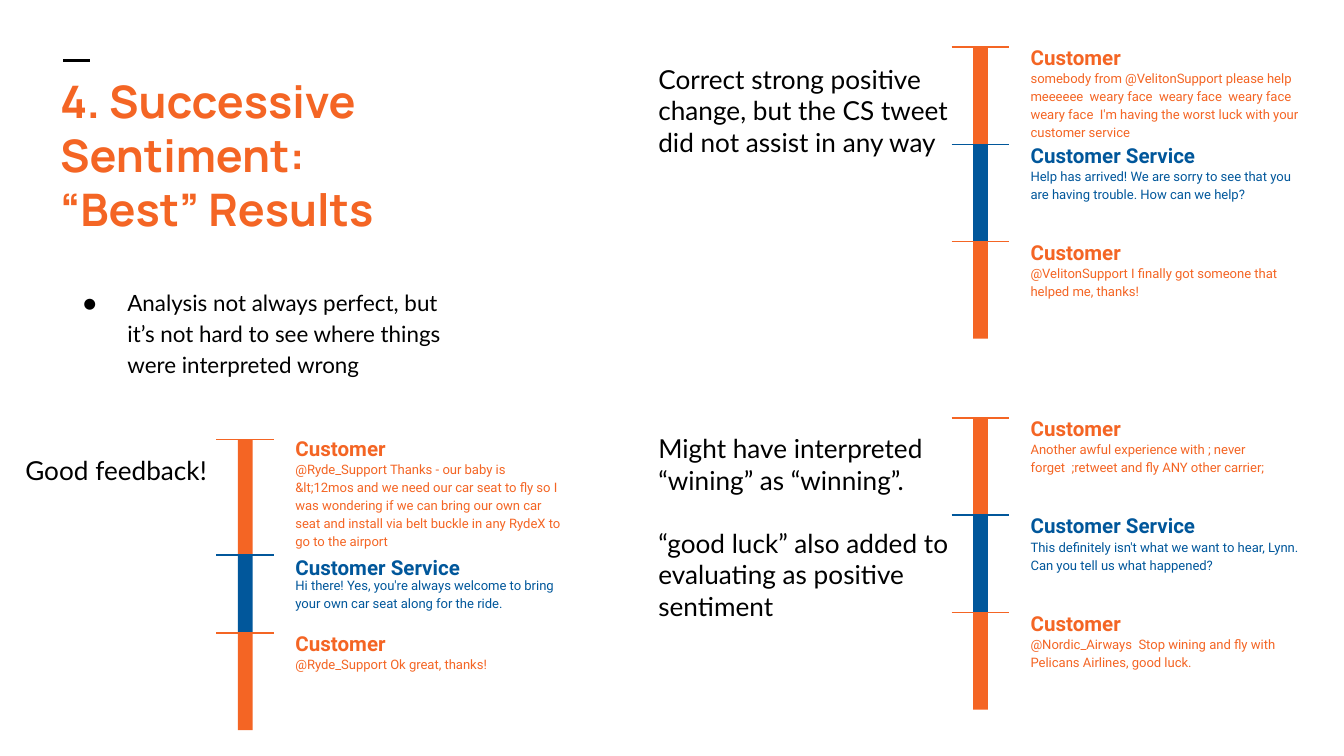
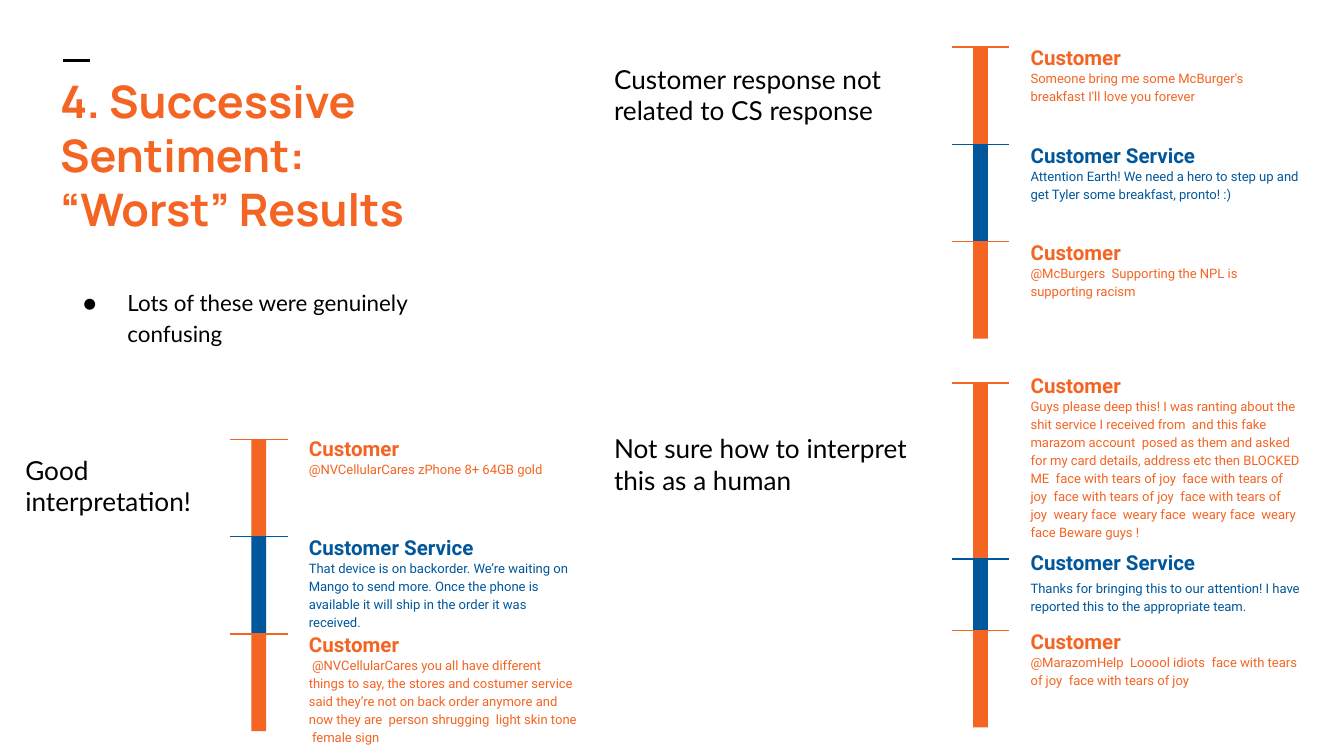
from dataclasses import dataclass

from lxml import etree
from pptx import Presentation
from pptx.dml.color import RGBColor
from pptx.enum.shapes import MSO_CONNECTOR as CONNECTOR, MSO_SHAPE as SHAPE
from pptx.enum.text import MSO_ANCHOR as ANCHOR, MSO_AUTO_SIZE as AUTO_SIZE
from pptx.oxml.ns import qn
from pptx.util import Inches, Pt

ORANGE = RGBColor(0xF4, 0x65, 0x24)
BLUE = RGBColor(0x01, 0x57, 0x9B)
BLACK = RGBColor(0, 0, 0)
TITLE_FONT, BODY_FONT, TWEET_FONT = "Manrope", "Lato", "Roboto"

SPEAKERS = [("Customer", ORANGE), ("Customer Service", BLUE), ("Customer", ORANGE)]
UPPER_TOP, LOWER_TOP, LEFT_TOP = 0.35, 3.11, 3.27
RIGHT_X = 7.08
TIMELINE_HEIGHT = 2.17


@dataclass
class Tweet:
    """Offsets are measured from the line that opens the tweet."""
    text: str
    height: float = TIMELINE_HEIGHT / 3
    name_offset: float = -0.14
    name_height: float = 0.2
    text_offset: float = 0.06
    text_height: float = 0.3


def add_text(shapes, text, left, top, width, height, *, size, font=BODY_FONT,
             color=BLACK, bold=False, anchor=ANCHOR.TOP, line_spacing=None,
             space_after=0, paragraph_gap=0):
    """Add a text box; each line of the text is one paragraph."""
    box = shapes.add_textbox(Inches(left), Inches(top), Inches(width), Inches(height))
    frame = box.text_frame
    frame.word_wrap = True
    frame.auto_size = AUTO_SIZE.NONE
    frame.vertical_anchor = anchor
    frame.margin_left = frame.margin_right = Inches(0.1)
    frame.margin_top = frame.margin_bottom = Inches(0.1)
    frame.text = text
    for index, paragraph in enumerate(frame.paragraphs):
        paragraph.line_spacing = line_spacing
        paragraph.space_before = Pt(paragraph_gap if index else 0)
        paragraph.space_after = Pt(space_after)
        for run in paragraph.runs:
            run.font.name = font
            run.font.size = Pt(size)
            run.font.bold = bold
            run.font.color.rgb = color
    return box


def add_line(shapes, left, top, width, color, weight):
    line = shapes.add_connector(CONNECTOR.STRAIGHT, Inches(left), Inches(top),
                                Inches(left + width), Inches(top))
    line.line.color.rgb = color
    line.line.width = Pt(weight)
    etree.SubElement(line._element.spPr, qn("a:effectLst"))


def add_bullet(paragraph, size):
    properties = paragraph._p.get_or_add_pPr()
    properties.set("marL", str(Inches(0.5)))
    properties.set("indent", str(Inches(-0.33)))
    color = etree.SubElement(properties, qn("a:buClr"))
    etree.SubElement(color, qn("a:srgbClr")).set("val", str(BLACK))
    etree.SubElement(properties, qn("a:buSzPts")).set("val", str(size * 100))
    etree.SubElement(properties, qn("a:buFont")).set("typeface", BODY_FONT)
    etree.SubElement(properties, qn("a:buChar")).set("char", "●")


def add_heading(slide, title, point, left=0.35, top=0.45, width=3.07):
    """Place the short rule, the title and the bullet in the upper left."""
    add_line(slide.shapes, left + 0.12, top, 0.2, BLACK, 1.5)
    add_text(slide.shapes, title, left, top + 0.57, width, 0.83, size=24,
             font=TITLE_FONT, color=ORANGE, bold=True, anchor=ANCHOR.BOTTOM)
    body = add_text(slide.shapes, point, left, top + 1.57, width, 0.99, size=12,
                    line_spacing=1.15)
    add_bullet(body.text_frame.paragraphs[0], 12)


def add_tweet(slide, tweet, speaker, color, left, top):
    shapes = slide.shapes.add_group_shape().shapes
    bar = shapes.add_shape(SHAPE.RECTANGLE, Inches(left + 0.16), Inches(top),
                           Inches(0.11), Inches(tweet.height))
    bar.shadow.inherit = False
    bar.fill.solid()
    bar.fill.fore_color.rgb = color
    bar.line.fill.background()
    add_line(shapes, left, top, 0.43, color, 0.75)
    style = dict(font=TWEET_FONT, color=color, line_spacing=1.15)
    add_text(shapes, speaker, left + 0.49, top + tweet.name_offset, 2.2,
             tweet.name_height, size=11, bold=True, **style)
    add_text(shapes, tweet.text, left + 0.49, top + tweet.text_offset, 2.2,
             tweet.text_height, size=7, space_after=16, **style)


def add_timeline(slide, tweets, left, top):
    for tweet, (speaker, color) in zip(tweets, SPEAKERS):
        add_tweet(slide, tweet, speaker, color, left, top)
        top += tweet.height


def add_comment(slide, text, left, top, width=2.55, height=1.29):
    add_text(slide.shapes, text, left, top, width, height, size=14, paragraph_gap=17)


def add_best_results(slide):
    add_heading(slide, "4. Successive Sentiment: “Best” Results",
                "Analysis not always perfect, but it’s not hard to see where things "
                "were interpreted wrong")
    add_timeline(slide, [
        Tweet("somebody from @VelitonSupport please help meeeeee  weary face  weary face  "
              "weary face  weary face  I'm having the worst luck with your customer service"),
        Tweet("Help has arrived! We are sorry to see that you are having trouble. "
              "How can we help?"),
        Tweet("@VelitonSupport I finally got someone that helped me, thanks!"),
    ], RIGHT_X, UPPER_TOP)
    add_comment(slide, "Correct strong positive change, but the CS tweet did not assist "
                "in any way", 4.8, 0.37)
    add_timeline(slide, [
        Tweet("Another awful experience with ; never forget  ;retweet and fly ANY other "
              "carrier;"),
        Tweet("This definitely isn't what we want to hear, Lynn. Can you tell us what "
              "happened?"),
        Tweet("@Nordic_Airways  Stop wining and fly with Pelicans Airlines, good luck."),
    ], RIGHT_X, LOWER_TOP)
    add_comment(slide, "Might have interpreted “wining” as “winning”.\n"
                "“good luck” also added to evaluating as positive sentiment",
                4.8, 3.12, height=1.53)
    add_timeline(slide, [
        Tweet("@Ryde_Support Thanks - our baby is &lt;12mos and we need our car seat to "
              "fly so I was wondering if we can bring our own car seat and install via "
              "belt buckle in any RydeX to go to the airport",
              height=0.86, name_offset=-0.15, text_offset=0.05),
        Tweet("Hi there! Yes, you're always welcome to bring your own car seat along for "
              "the ride.", height=0.58, name_offset=-0.11, name_height=0.16,
              text_offset=0.05, text_height=0.24),
        Tweet("@Ryde_Support Ok great, thanks!"),
    ], 1.61, LEFT_TOP)
    add_comment(slide, "Good feedback!", 0.09, 3.28, 1.74)


def add_worst_results(slide):
    add_heading(slide, "4. Successive Sentiment: “Worst” Results",
                "Lots of these were genuinely confusing")
    add_timeline(slide, [
        Tweet("Someone bring me some McBurger's breakfast I'll love you forever"),
        Tweet("Attention Earth! We need a hero to step up and get Tyler some breakfast, "
              "pronto! :)"),
        Tweet("@McBurgers  Supporting the NPL is supporting racism"),
    ], RIGHT_X, UPPER_TOP)
    add_comment(slide, "Customer response not related to CS response", 4.47, 0.37)
    add_timeline(slide, [
        Tweet("Guys please deep this! I was ranting about the shit service I received "
              "from  and this fake marazom account  posed as them and asked for my card "
              "details, address etc then BLOCKED ME  face with tears of joy  face with "
              "tears of joy  face with tears of joy  face with tears of joy  weary face  "
              "weary face  weary face  weary face Beware guys !", height=1.31,
              name_offset=-0.2, name_height=0.27, text_offset=0, text_height=0.4),
        Tweet("Thanks for bringing this to our attention! I have reported this to the "
              "appropriate team.", height=0.53, name_offset=-0.17, name_height=0.15,
              text_offset=0.04, text_height=0.23),
        Tweet("@MarazomHelp  Looool idiots  face with tears of joy  face with tears of joy"),
    ], RIGHT_X, 2.85)
    add_comment(slide, "Not sure how to interpret this as a human", 4.47, 3.12)
    add_comment(slide, "Good interpretation!", 0.09, 3.28, 1.74)
    add_timeline(slide, [
        Tweet("@NVCellularCares zPhone 8+ 64GB gold", name_offset=-0.15, text_offset=0.05),
        Tweet("That device is on backorder. We’re waiting on Mango to send more. Once the "
              "phone is available it will ship in the order it was received."),
        Tweet(" @NVCellularCares you all have different things to say, the stores and "
              "costumer service said they’re not on back order anymore and now they are  "
              "person shrugging  light skin tone  female sign"),
    ], 1.71, LEFT_TOP)


def main():
    presentation = Presentation()
    presentation.slide_width = Inches(10)
    presentation.slide_height = presentation.slide_width * 9 // 16
    blank = presentation.slide_layouts[6]
    for build in (add_best_results, add_worst_results):
        build(presentation.slides.add_slide(blank))
    presentation.save("out.pptx")


if __name__ == "__main__":
    main()
